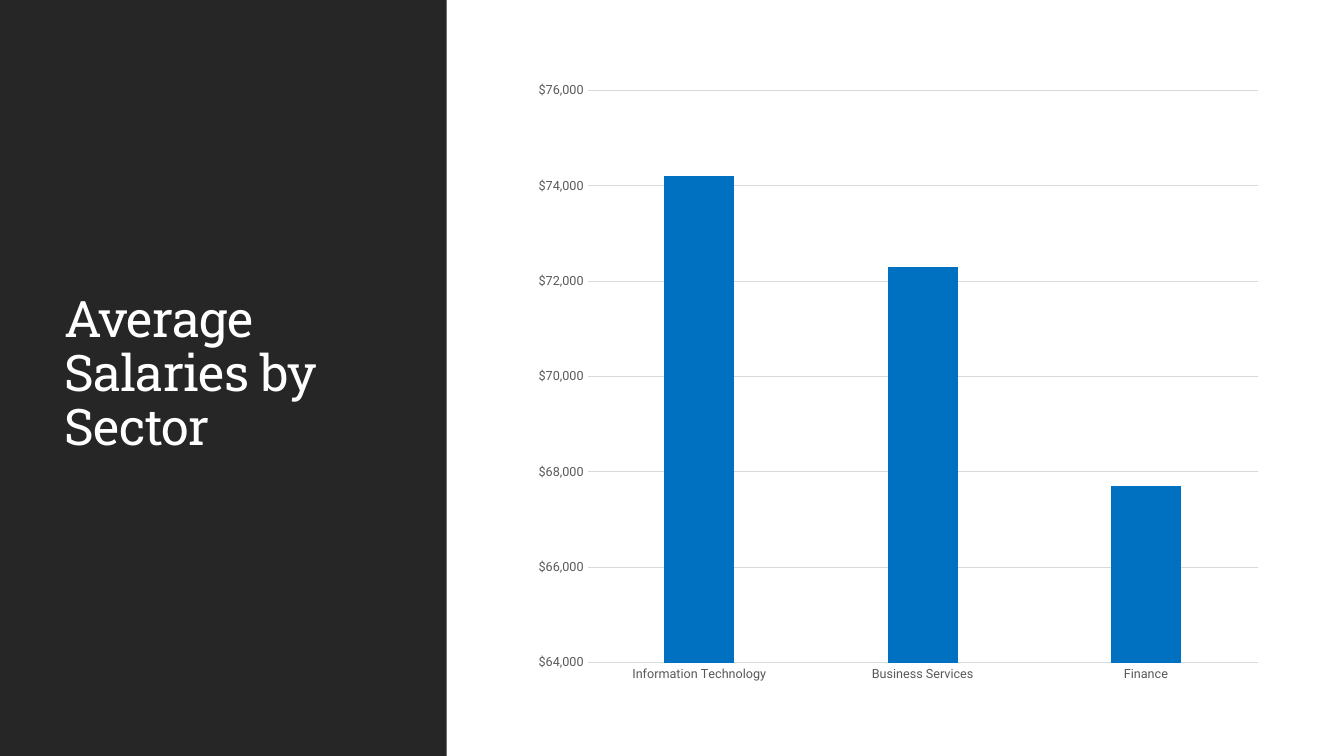
from lxml import etree
from pptx import Presentation
from pptx import util as u
from pptx.chart.data import CategoryChartData
from pptx.dml.color import RGBColor
from pptx.enum import chart as charts, shapes, text
from pptx.oxml import ns

DARK, WHITE, BLUE, GRID, LABEL = "262626", "FFFFFF", "0070C0", "D9D9D9", "595959"
SALARIES = {
    "Information Technology": 74200,
    "Business Services": 72300,
    "Finance": 67700,
}


def paint(color_format, value):
    """Set a colour format from a hex string."""
    color_format.rgb = RGBColor.from_string(value)


def fill_with(fill, value):
    """Give a fill one solid colour."""
    fill.solid()
    paint(fill.fore_color, value)


def set_font(font, name, size, color):
    """Set the typeface, size and colour of a font."""
    font.name = name
    font.size = u.Pt(size)
    paint(font.color, color)


def set_line(line, color, width=0.75):
    """Set the colour and width of a line."""
    paint(line.color, color)
    line.width = u.Pt(width)


def add_panel(page, left, top, width, height, color):
    """Add a plain filled rectangle."""
    panel = page.shapes.add_shape(
        shapes.MSO_SHAPE.RECTANGLE, *map(u.Pt, (left, top, width, height)))
    panel.shadow.inherit = False
    fill_with(panel.fill, color)
    panel.line.fill.background()


def add_text(page, words, *, left, top, width, height, font, size, color,
             line_spacing=1.0, letter_spacing=0):
    """Add a wrapped, vertically centred text box."""
    box = page.shapes.add_textbox(*map(u.Pt, (left, top, width, height)))
    frame = box.text_frame
    frame.word_wrap = True
    frame.vertical_anchor = text.MSO_ANCHOR.MIDDLE
    para = frame.paragraphs[0]
    para.line_spacing = line_spacing
    span = para.add_run()
    span.text = words
    set_font(span.font, font, size, color)
    span.font._element.set("spc", str(round(letter_spacing * 100)))


def style_axis(axis):
    """Remove tick marks and style the labels of an axis."""
    axis.major_tick_mark = charts.XL_TICK_MARK.NONE
    axis.minor_tick_mark = charts.XL_TICK_MARK.NONE
    set_font(axis.tick_labels.font, "Roboto", 9, LABEL)


def add_salary_chart(page, left, top, width, height):
    """Add the column chart of average salaries."""
    data = CategoryChartData()
    data.categories = list(SALARIES)
    data.add_series("Series 1", list(SALARIES.values()))
    chart = page.shapes.add_chart(
        charts.XL_CHART_TYPE.COLUMN_CLUSTERED,
        *map(u.Pt, (left, top, width, height)), data).chart
    set_font(chart.font, "Roboto", 10, "000000")
    chart.has_title = False
    chart.has_legend = False

    plot = chart.plots[0]
    plot.vary_by_categories = False
    plot.gap_width = 219
    plot.overlap = -27
    fill_with(plot.series[0].format.fill, BLUE)

    style_axis(chart.category_axis)
    set_line(chart.category_axis.format.line, GRID)

    salary_axis = chart.value_axis
    style_axis(salary_axis)
    salary_axis.minimum_scale = 64000
    salary_axis.maximum_scale = 76000
    salary_axis.major_unit = 2000
    salary_axis.tick_labels.number_format = '"$"#,##0'
    salary_axis.tick_labels.number_format_is_linked = False
    salary_axis.format.line.fill.background()
    salary_axis.has_major_gridlines = True
    set_line(salary_axis.major_gridlines.format.line, GRID)


def main():
    """Build and save the salary slide."""
    deck = Presentation()
    deck.slide_width = u.Pt(960)
    deck.slide_height = u.Pt(540)
    page = deck.slides.add_slide(deck.slide_layouts[6])
    fill_with(page.background.fill, WHITE)
    add_panel(page, 0, 0, 319, 540, DARK)
    add_text(page, "Average Salaries by Sector", left=39, top=41, width=243,
             height=454, font="Roboto Slab", size=36, color=WHITE,
             line_spacing=0.9, letter_spacing=-0.5)
    add_salary_chart(page, 374, 50.5, 535, 445)
    deck.save("out.pptx")


if __name__ == "__main__":
    main()
